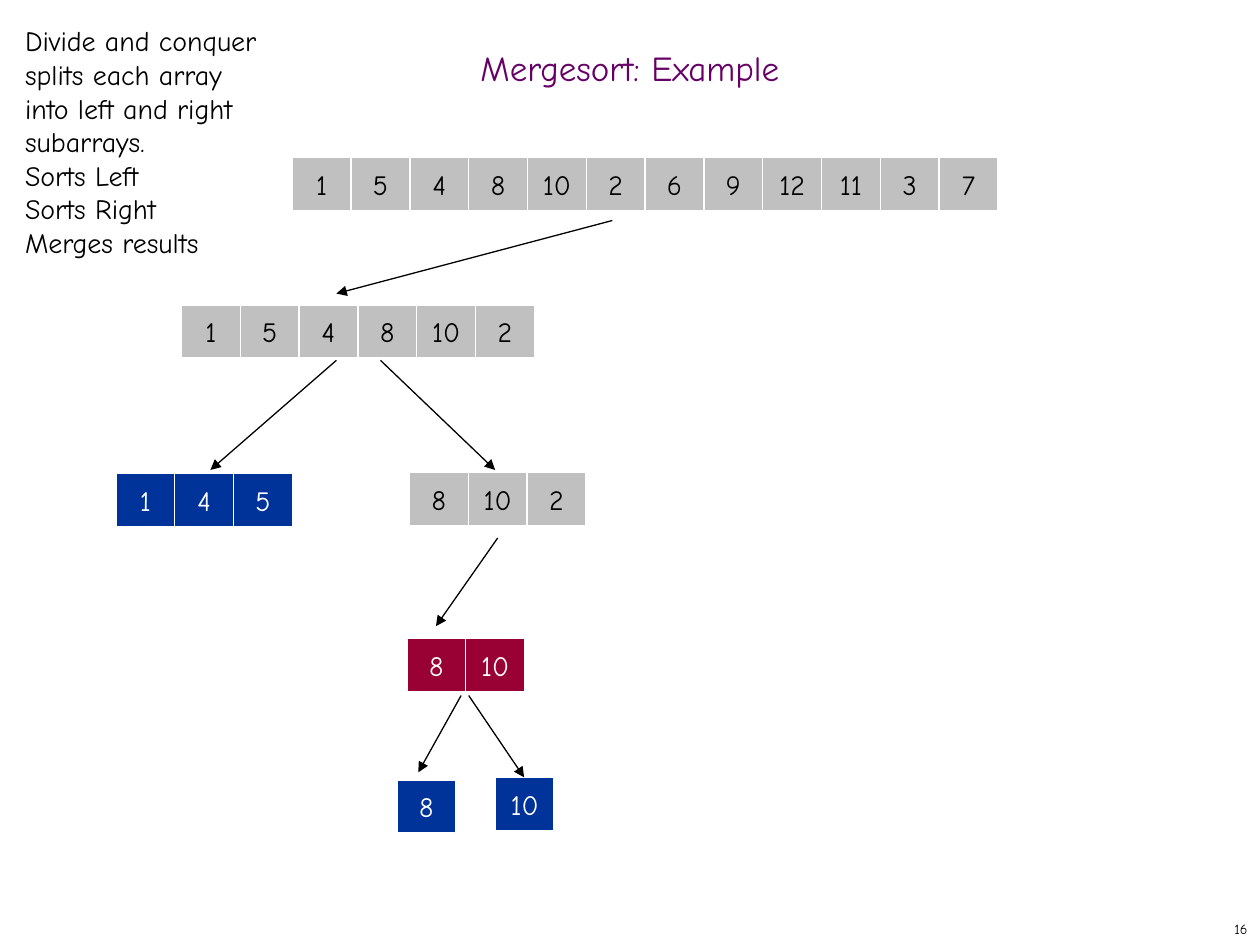
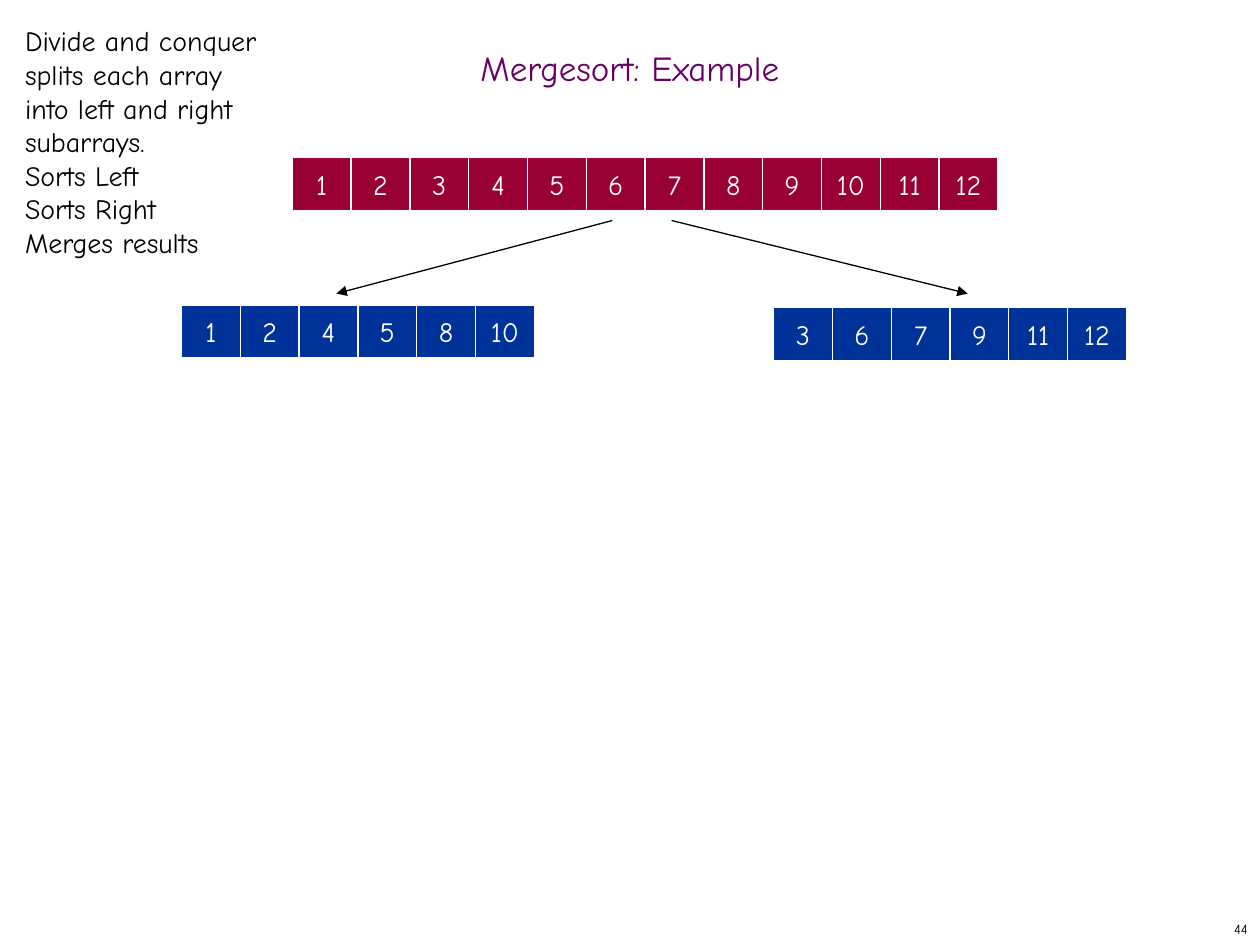
from lxml import etree
from pptx import Presentation
from pptx.dml.color import RGBColor
from pptx.enum.shapes import MSO_CONNECTOR, MSO_SHAPE
from pptx.enum.text import MSO_ANCHOR, PP_ALIGN
from pptx.oxml.ns import qn
from pptx.util import Inches, Pt

LEFT, CENTER, RIGHT = PP_ALIGN.LEFT, PP_ALIGN.CENTER, PP_ALIGN.RIGHT
TOP, MIDDLE = MSO_ANCHOR.TOP, MSO_ANCHOR.MIDDLE
RECT, STRAIGHT = MSO_SHAPE.RECTANGLE, MSO_CONNECTOR.STRAIGHT

FONT = "Comic Neue"
BLACK, WHITE, PURPLE = "000000", "FFFFFF", "660066"
GRAY, BLUE, RED = "C0C0C0", "003399", "990033"  # unsorted, sorted, merging
TEXT_ON = {GRAY: BLACK, BLUE: WHITE, RED: WHITE}
CELL_W, CELL_H = 5.6 / 12, 0.42  # twelve cells span 5.6 inches

STRATEGY = [
    "Divide and conquer splits each array into left and right subarrays.",
    "Sorts Left",
    "Sorts Right",
    "Merges results",
]


def rgb(color):
    return RGBColor.from_string(color)


def inches(*lengths):
    return [Inches(v) for v in lengths]


def write(sp, lines, size=16, color=BLACK, align=LEFT, anchor=TOP,
          spacing=None, wrap=True):
    tf = sp.text_frame
    tf.word_wrap = wrap
    tf.vertical_anchor = anchor
    for i, line in enumerate(lines):
        p = tf.add_paragraph() if i else tf.paragraphs[0]
        p.alignment = align
        p.line_spacing = spacing
        r = p.add_run()
        r.text = line
        r.font.name, r.font.size = FONT, Pt(size)
        r.font.color.rgb = rgb(color)


def add_text(s, box, lines, **style):
    write(s.shapes.add_textbox(*inches(*box)), lines, **style)


def add_array(s, left, top, values, fill):
    """A row of touching cells, one for each value."""
    for i, value in enumerate(values):
        sp = s.shapes.add_shape(
            RECT, *inches(left + i * CELL_W, top, CELL_W, CELL_H))
        sp.shadow.inherit = False
        sp.fill.solid()
        sp.fill.fore_color.rgb = rgb(fill)
        sp.line.color.rgb = rgb(WHITE)
        sp.line.width = Pt(0.75)
        write(sp, [str(value)], color=TEXT_ON[fill], align=CENTER,
              anchor=MIDDLE, wrap=False)


def add_arrow(s, start, end):
    c = s.shapes.add_connector(STRAIGHT, *inches(*start, *end))
    c.line.color.rgb = rgb(BLACK)
    c.line.width = Pt(0.75)
    etree.SubElement(c.line._get_or_add_ln(), qn("a:tailEnd"), type="triangle")
    etree.SubElement(c._element.spPr, qn("a:effectLst"))


def add_mergesort_slide(prs, number, arrays, arrows):
    s = prs.slides.add_slide(prs.slide_layouts[6])
    # Page number and title
    add_text(s, (7.92, 7.25, 2.08, 0.25), [number], size=8, align=RIGHT,
             anchor=MIDDLE)
    add_text(s, (0, 0.33, 10, 0.5), ["Mergesort: Example"], size=20,
             color=PURPLE, align=CENTER, anchor=MIDDLE, spacing=0.7)
    # Recursion tree
    for array in arrays:
        add_array(s, *array)
    for start, end in arrows:
        add_arrow(s, start, end)
    # Strategy note
    add_text(s, (0.1, 0.14, 2.15, 1.99), STRATEGY)


prs = Presentation()
prs.slide_width, prs.slide_height = inches(10, 7.5)

# Places that both trees use
ROOT, LEFT_HALF = (2.32, 1.25), (1.44, 2.42)
TO_LEFT_HALF = ((4.86, 1.75), (2.67, 2.33))

# Splitting the left half
add_mergesort_slide(
    prs, "16",
    arrays=[
        (*ROOT, [1, 5, 4, 8, 10, 2, 6, 9, 12, 11, 3, 7], GRAY),
        (*LEFT_HALF, [1, 5, 4, 8, 10, 2], GRAY),
        (0.92, 3.76, [1, 4, 5], BLUE),
        (3.25, 3.75, [8, 10, 2], GRAY),
        (3.23, 5.07, [8, 10], RED),
        (3.15, 6.19, [8], BLUE),
        (3.93, 6.17, [10], BLUE),
    ],
    arrows=[
        TO_LEFT_HALF,
        ((2.67, 2.86), (1.67, 3.73)),
        ((3.02, 2.86), (3.93, 3.73)),
        ((3.95, 4.27), (3.46, 4.97)),
        ((3.66, 5.52), (3.32, 6.13)),
        ((3.72, 5.52), (4.16, 6.17)),
    ])

# Merging both sorted halves
add_mergesort_slide(
    prs, "44",
    arrays=[
        (*ROOT, range(1, 13), RED),
        (*LEFT_HALF, [1, 2, 4, 5, 8, 10], BLUE),
        (6.14, 2.44, [3, 6, 7, 9, 11, 12], BLUE),
    ],
    arrows=[TO_LEFT_HALF, ((5.33, 1.75), (7.68, 2.33))])

prs.save("out.pptx")
